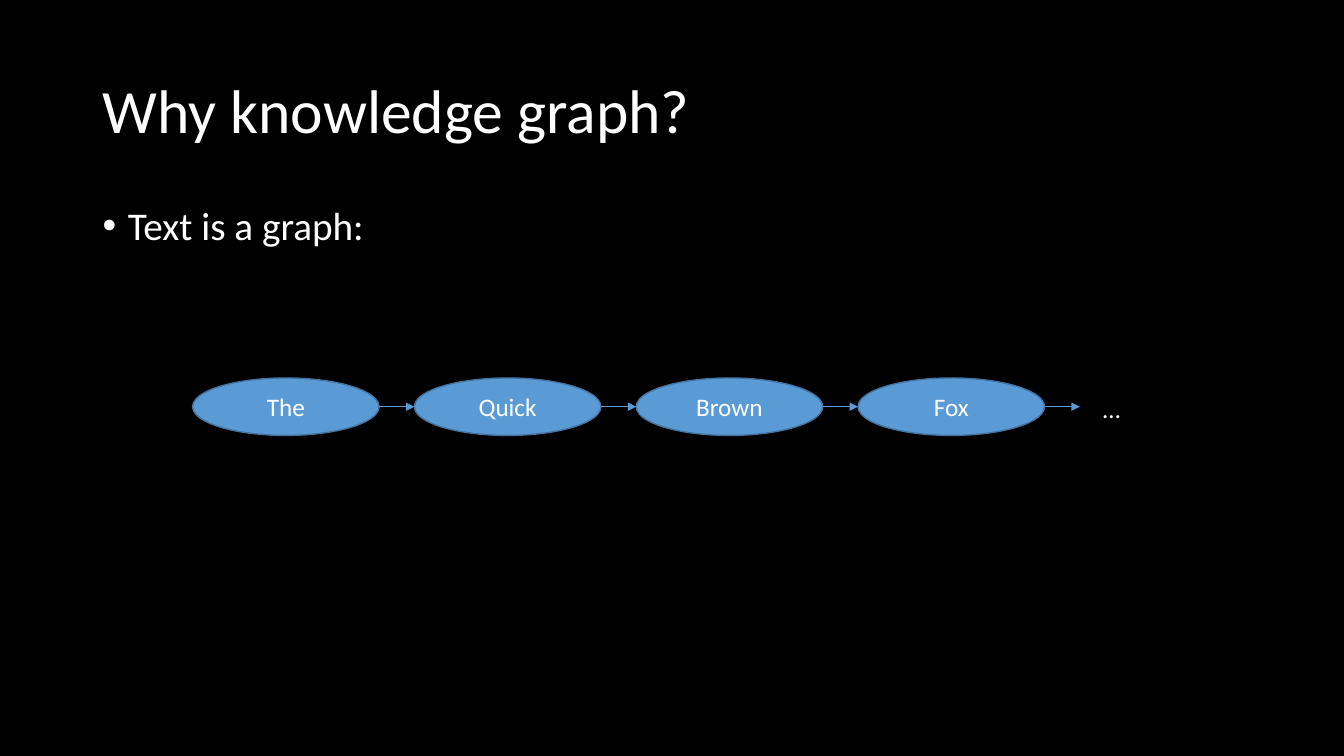
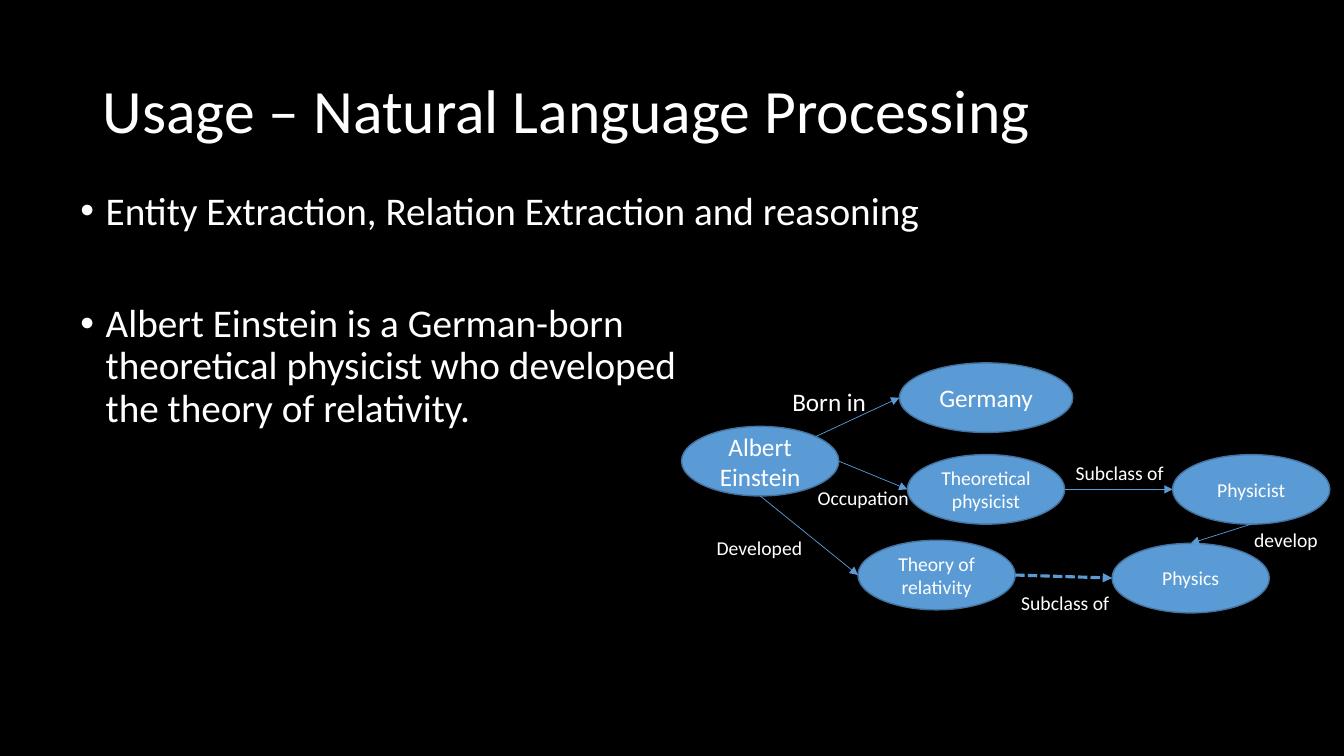
from lxml.etree import SubElement
from math import cos, radians, sin
from pptx import Presentation
from pptx.dml.color import RGBColor
from pptx.enum.dml import MSO_LINE
from pptx.enum.shapes import MSO_CONNECTOR, MSO_SHAPE
from pptx.enum.text import MSO_ANCHOR, PP_ALIGN
from pptx.oxml.ns import qn
from pptx.util import Inches, Pt


class Theme:
    font = "Calibri"
    back = RGBColor(0x00, 0x00, 0x00)
    text = RGBColor(0xFF, 0xFF, 0xFF)
    node = RGBColor(0x5B, 0x9B, 0xD5)
    edge = RGBColor(0x43, 0x73, 0x9E)
    title, body, large, small = 44, 28, 18, 14
    thin, thick = 0.5, 2.25
    spacing = {"line_spacing": 0.9}


# Content: bullets are (lines, space before in points)
TITLE_BOX = (0.92, 0.4, 11.5, 1.45)
BODY_SIZE = (11.5, 4.76)

CHAIN = {
    "title": "Why knowledge graph?",
    "body_at": (0.92, 2),
    "bullets": [(["Text is a graph:"], 10)],
    "words": ["The", "Quick", "Brown", "Fox"],
    "more": ("…", 10.84, 3.85, 0.38),
}
WORD_LEFT, WORD_TOP, WORD_W, WORD_H, WORD_GAP = 1.91, 3.75, 1.85, 0.57, 0.35

ENTITIES = {
    "title": "Usage – Natural Language Processing",
    "body_at": (0.7, 1.85),
    "bullets": [
        (["Entity Extraction, Relation Extraction and reasoning"], 10),
        (["Albert Einstein is a German-born",
          "theoretical physicist who developed",
          "the theory of relativity."], 50),
    ],
    # key: paragraphs, left, top, width, text size
    "nodes": {
        "person": (["Albert", "Einstein"], 6.76, 4.23, 1.56, Theme.large),
        "country": (["Germany"], 8.92, 3.6, 1.72, Theme.large),
        "job": (["Theoretical physicist"], 9, 4.51, 1.56, Theme.small),
        "theory": (["Theory of relativity"], 8.51, 5.36, 1.56, Theme.small),
        "physicist": (["Physicist"], 11.63, 4.51, 1.56, Theme.small),
        "physics": (["Physics"], 11.03, 5.39, 1.56, Theme.small),
    },
    # from, side, to, side, inferred
    "relations": [
        ("person", "top right", "country", "left", False),
        ("person", "right", "job", "left", False),
        ("person", "bottom", "theory", "left", False),
        ("job", "right", "physicist", "left", False),
        ("physicist", "bottom", "physics", "top", False),
        ("theory", "right", "physics", "left", True),
    ],
    # text, left, top, width, text size
    "labels": [
        ("Born in", 7.76, 3.78, 0.94, Theme.large),
        ("Occupation", 8.01, 4.77, 1.12, Theme.small),
        ("Developed", 7.01, 5.27, 1.06, Theme.small),
        ("Subclass of", 10.57, 4.52, 1.13, Theme.small),
        ("develop", 12.34, 5.19, 0.84, Theme.small),
        ("Subclass of", 10.03, 5.81, 1.08, Theme.small),
    ],
}
NODE_H = 0.69

# Ellipse connection sites: index, angle from the right, counterclockwise
SITES = {"top": (0, 90), "left": (2, 180), "bottom": (4, 270),
         "right": (6, 0), "top right": (7, 45)}


# Text
def apply(target, values):
    for name, value in values.items():
        setattr(target, name, value)


def write(p, lines, size, **fmt):
    apply(p, fmt)
    for i, line in enumerate(lines):
        if i:
            p.add_line_break()
        r = p.add_run()
        r.text = line
        apply(r.font, {"name": Theme.font, "size": Pt(size)})
        r.font.color.rgb = Theme.text


def next_paragraph(tf, i):
    return tf.add_paragraph() if i else tf.paragraphs[0]


def add_text_frame(s, box, **fmt):
    tf = s.shapes.add_textbox(*map(Inches, box)).text_frame
    apply(tf, {"word_wrap": True, **fmt})
    return tf


def add_label(s, text, left, top, width, size):
    height = 0.4 if size == Theme.large else 0.34
    tf = add_text_frame(s, (left, top, width, height), word_wrap=False)
    write(tf.paragraphs[0], [text], size)


def add_bullet(p):
    pPr = p._p.get_or_add_pPr()
    pPr.set("marL", str(Inches(0.25)))
    pPr.set("indent", str(Inches(-0.25)))
    SubElement(pPr, qn("a:buFont")).set("typeface", "Arial")
    SubElement(pPr, qn("a:buChar")).set("char", "•")


# Graph parts
def add_node(s, paragraphs, box, size):
    sp = s.shapes.add_shape(MSO_SHAPE.OVAL, *map(Inches, box))
    sp.shadow.inherit = False
    sp.fill.solid()
    sp.fill.fore_color.rgb = Theme.node
    sp.line.color.rgb = Theme.edge
    sp.line.width = Pt(1)
    tf = sp.text_frame
    apply(tf, {"word_wrap": True, "vertical_anchor": MSO_ANCHOR.MIDDLE})
    for i, text in enumerate(paragraphs):
        write(next_paragraph(tf, i), [text], size, alignment=PP_ALIGN.CENTER)
    return sp


def site_point(sp, side):
    angle = radians(SITES[side][1])
    return (int(sp.left + sp.width / 2 * (1 + cos(angle))),
            int(sp.top + sp.height / 2 * (1 - sin(angle))))


def add_arrow(s, start, end, inferred=False):
    """Join two (node, side) pairs; an end without a node is a bare point."""
    points = [site_point(*e) if e[1] in SITES else e for e in (start, end)]
    cxn = s.shapes.add_connector(MSO_CONNECTOR.STRAIGHT, *points[0], *points[1])
    cxn.line.color.rgb = Theme.node
    cxn.line.width = Pt(Theme.thick if inferred else Theme.thin)
    if inferred:
        cxn.line.dash_style = MSO_LINE.SQUARE_DOT
    SubElement(cxn.line._get_or_add_ln(), qn("a:tailEnd")).set("type", "triangle")
    SubElement(cxn._element.spPr, qn("a:effectLst"))
    glue = cxn._element.find(".//" + qn("p:cNvCxnSpPr"))
    for tag, (sp, side) in (("a:stCxn", start), ("a:endCxn", end)):
        if side in SITES:
            link = SubElement(glue, qn(tag))
            link.set("id", str(sp.shape_id))
            link.set("idx", str(SITES[side][0]))


# Slides
def add_slide(prs, content):
    s = prs.slides.add_slide(prs.slide_layouts[6])
    tf = add_text_frame(s, TITLE_BOX, vertical_anchor=MSO_ANCHOR.MIDDLE)
    write(tf.paragraphs[0], [content["title"]], Theme.title, **Theme.spacing)
    tf = add_text_frame(s, content["body_at"] + BODY_SIZE)
    for i, (lines, before) in enumerate(content["bullets"]):
        p = next_paragraph(tf, i)
        write(p, lines, Theme.body, space_before=Pt(before), **Theme.spacing)
        add_bullet(p)
    return s


def build_chain(prs):
    s = add_slide(prs, CHAIN)
    step = WORD_W + WORD_GAP
    nodes = [add_node(s, [word], (WORD_LEFT + i * step, WORD_TOP, WORD_W, WORD_H),
                      Theme.large)
             for i, word in enumerate(CHAIN["words"])]
    for a, b in zip(nodes, nodes[1:]):
        add_arrow(s, (a, "right"), (b, "left"))
    x, y = site_point(nodes[-1], "right")
    add_arrow(s, (nodes[-1], "right"), (x + Inches(WORD_GAP), y))
    add_label(s, *CHAIN["more"], Theme.large)


def build_entities(prs):
    s = add_slide(prs, ENTITIES)
    nodes = {key: add_node(s, text, (left, top, width, NODE_H), size)
             for key, (text, left, top, width, size) in ENTITIES["nodes"].items()}
    for a, a_side, b, b_side, inferred in ENTITIES["relations"]:
        add_arrow(s, (nodes[a], a_side), (nodes[b], b_side), inferred)
    for label in ENTITIES["labels"]:
        add_label(s, *label)


def main():
    prs = Presentation()
    prs.slide_width, prs.slide_height = Inches(13.33), Inches(7.5)
    fill = prs.slide_master.background.fill
    fill.solid()
    fill.fore_color.rgb = Theme.back
    build_chain(prs)
    build_entities(prs)
    prs.save("out.pptx")


if __name__ == "__main__":
    main()
